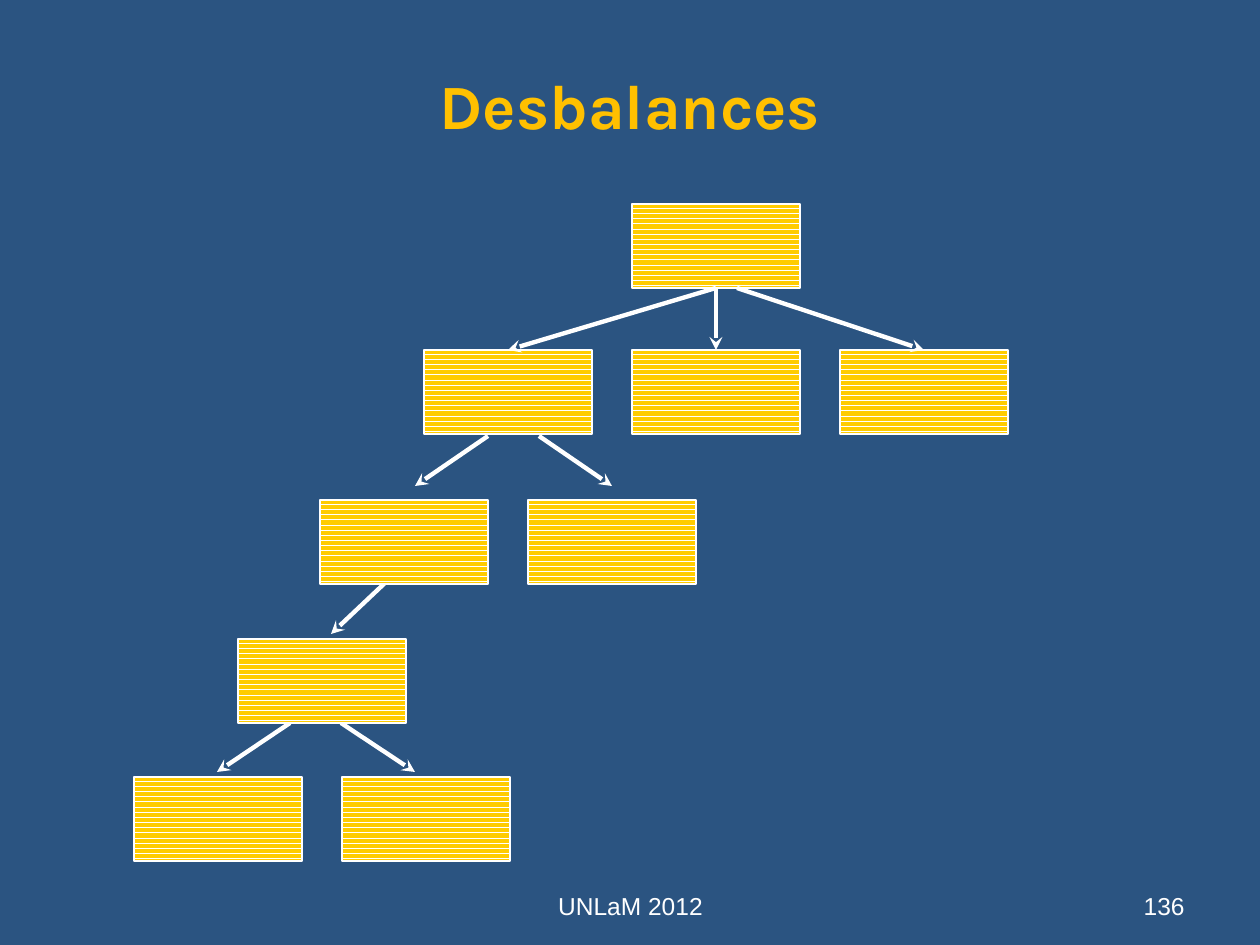
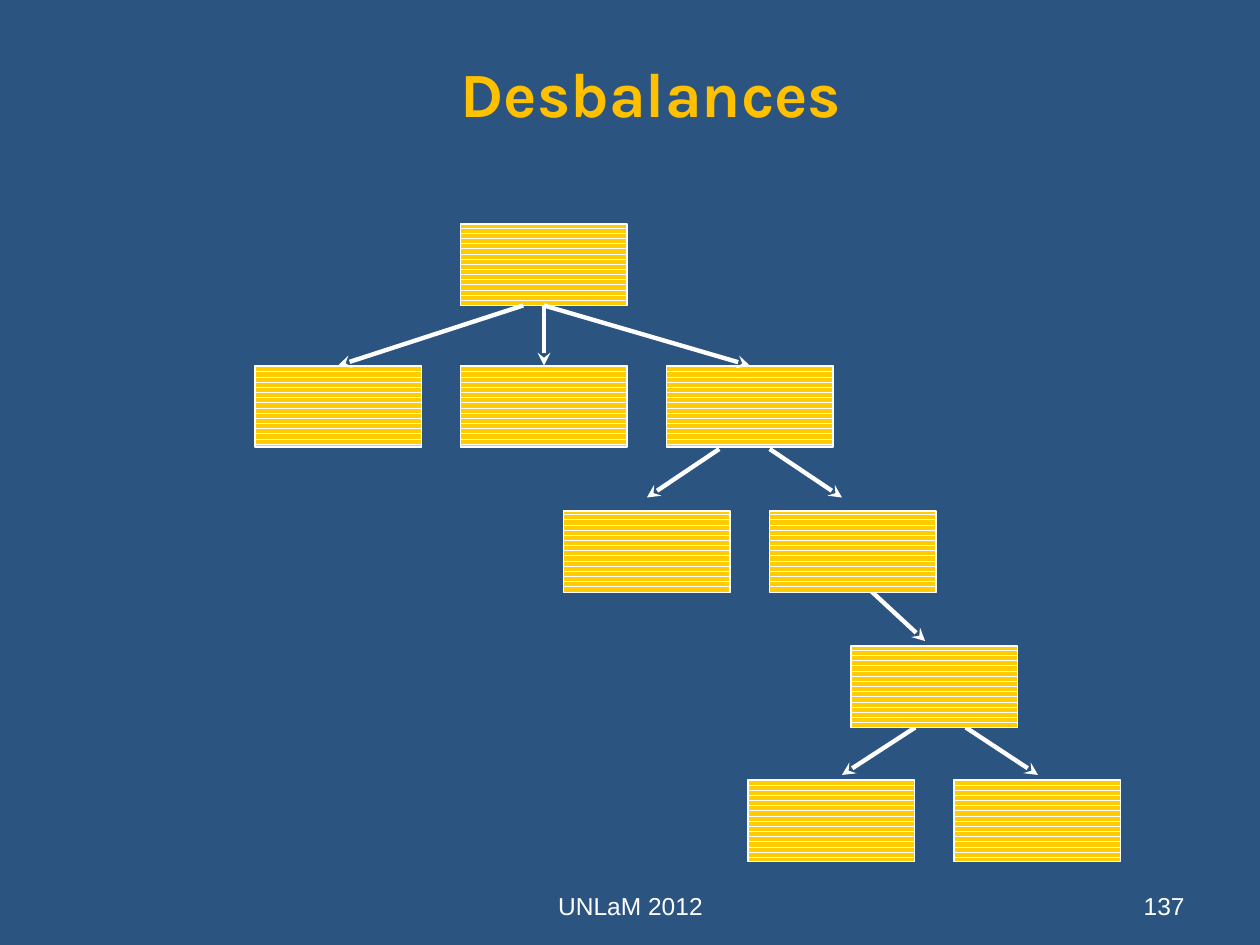
from pptx import Presentation
from pptx.dml.color import RGBColor
from pptx.enum.dml import MSO_PATTERN
from pptx.enum.shapes import MSO_CONNECTOR, MSO_SHAPE
from pptx.enum.text import MSO_ANCHOR, PP_ALIGN
from pptx.oxml.ns import qn
from pptx.util import Inches, Pt
from lxml.etree import SubElement

NAVY = RGBColor(0x2B, 0x54, 0x81)
AMBER = RGBColor(0xFF, 0xC0, 0x00)
GOLD = RGBColor(0xFF, 0xCC, 0x00)
WHITE = RGBColor(0xFF, 0xFF, 0xFF)

TITLE = "Desbalances"
FOOTER = "UNLaM 2012"
FOOTER_BOX = (431, 861, 399, 66)
NUMBER_BOX = (903, 861, 294, 66)
TITLE_FONT = {"name": "Karla", "size": Pt(36), "bold": True}
FOOTER_FONT = {"name": "Arial", "size": Pt(14), "bold": False}

# The tree leans left; every x is measured from the root's centre, every y from its top.
NODE_WIDTH, NODE_HEIGHT = 168, 84
ROOT = (0, 0)
CHILDREN = [(-208, 146), (0, 146), (208, 146)]
DESCENDANTS = [(-312, 296), (-104, 296), (-394, 435), (-498, 573), (-290, 573)]
BRANCHES = [
    ((-228, 232), (-301, 282)),
    ((-177, 232), (-104, 282)),
    ((-312, 361), (-385, 430)),
    ((-426, 519), (-499, 568)),
    ((-375, 519), (-301, 568)),
]
OUTER_START = (21, 84)

# lean: 1 keeps the tree leaning left, -1 mirrors it
SLIDES = [
    {"number": "136", "title_box": (63, 53, 1134, 102), "root": (716, 204),
     "lean": 1, "scale": (1, 1)},
    {"number": "137", "title_box": (84, 26, 1134, 132), "root": (544, 224),
     "lean": -1, "scale": (0.99, 0.97)},
]

PX = Inches(1) / 126


def emu(*lengths):
    return [round(length * PX) for length in lengths]


def add_text(page, box, text, font, color, align, anchor):
    frame = page.shapes.add_textbox(*emu(*box)).text_frame
    frame.word_wrap = True
    frame.vertical_anchor = anchor
    para = frame.paragraphs[0]
    para.alignment = align
    span = para.add_run()
    span.text = text
    for name, value in font.items():
        setattr(span.font, name, value)
    span.font.color.rgb = color


def add_arrow(page, start, end):
    arrow = page.shapes.add_connector(MSO_CONNECTOR.STRAIGHT, *emu(*start, *end))
    arrow.line.color.rgb = WHITE
    arrow.line.width = Pt(2.5)
    SubElement(arrow.line._get_or_add_ln(), qn("a:tailEnd"), type="stealth")
    SubElement(arrow._element.spPr, qn("a:effectLst"))
    return arrow


def add_tree(page, root, lean, scale):
    def place(point):
        """Turn a tree point into px on the page."""
        return (root[0] + lean * scale[0] * point[0], root[1] + scale[1] * point[1])

    def add_node(point):
        center, top = place(point)
        width, height = NODE_WIDTH * scale[0], NODE_HEIGHT * scale[1]
        node = page.shapes.add_shape(
            MSO_SHAPE.RECTANGLE, *emu(center - width / 2, top, width, height))
        node.shadow.inherit = False
        node.fill.patterned()
        node.fill.pattern = MSO_PATTERN.DARK_HORIZONTAL
        node.fill.fore_color.rgb = GOLD
        node.fill.back_color.rgb = WHITE
        node.line.color.rgb = WHITE
        node.line.width = Pt(0.75)
        return node

    for start, end in BRANCHES:
        add_arrow(page, place(start), place(end))
    for point in DESCENDANTS:
        add_node(point)
    children = [add_node(point) for point in CHILDREN]
    root_node = add_node(ROOT)
    for point, child in zip(CHILDREN, children):
        is_outer = point == CHILDREN[-1]
        start = OUTER_START if is_outer else (0, NODE_HEIGHT)
        arrow = add_arrow(page, place(start), place(point))
        if not is_outer:
            arrow.begin_connect(root_node, 2)
        arrow.end_connect(child, 0)


def main():
    deck = Presentation()
    deck.slide_width, deck.slide_height = Inches(10), Inches(7.5)
    background = deck.slide_master.background.fill
    background.solid()
    background.fore_color.rgb = NAVY
    for content in SLIDES:
        page = deck.slides.add_slide(deck.slide_layouts[6])
        add_text(page, content["title_box"], TITLE, TITLE_FONT, AMBER,
                 PP_ALIGN.CENTER, MSO_ANCHOR.MIDDLE)
        add_tree(page, content["root"], content["lean"], content["scale"])
        for box, text, align in ((NUMBER_BOX, content["number"], PP_ALIGN.RIGHT),
                                 (FOOTER_BOX, FOOTER, PP_ALIGN.CENTER)):
            add_text(page, box, text, FOOTER_FONT, WHITE, align, MSO_ANCHOR.BOTTOM)
    deck.save("out.pptx")


if __name__ == "__main__":
    main()
